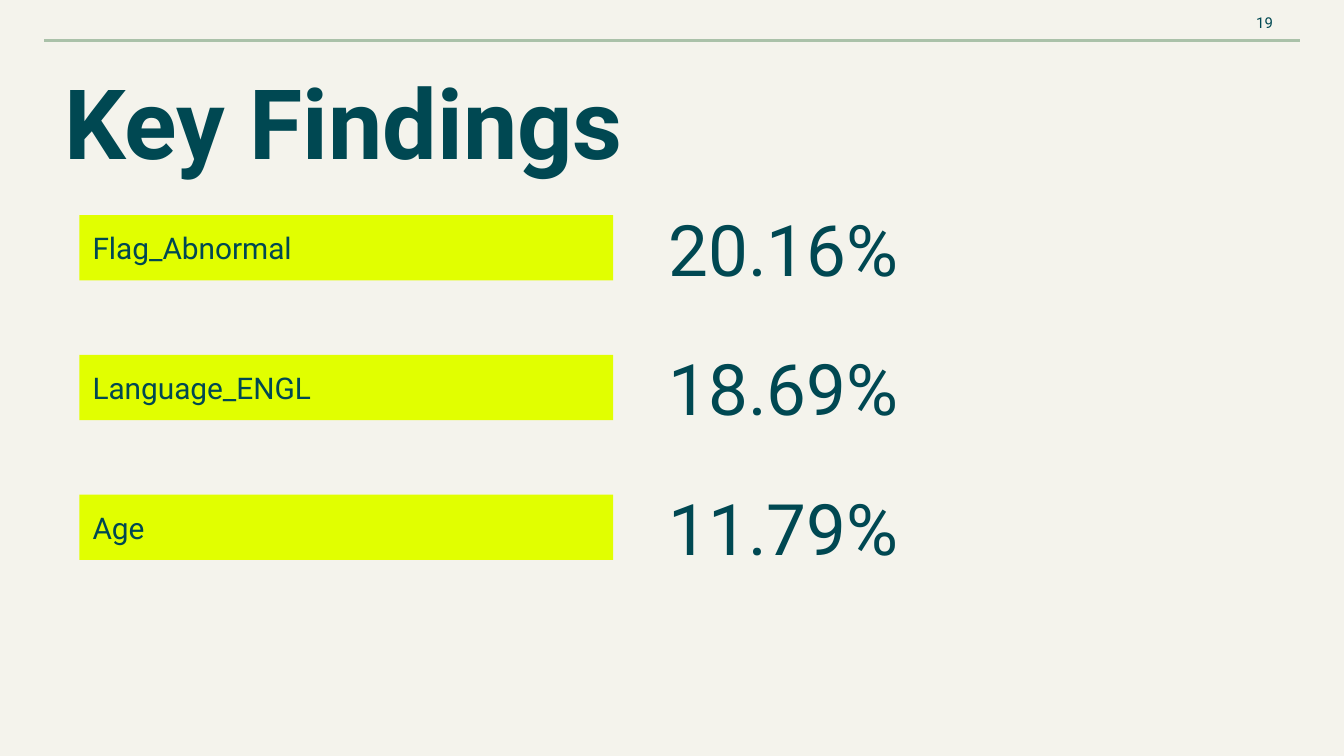
from dataclasses import dataclass

import pptx
import pptx.dml.color
import pptx.enum.shapes
import pptx.enum.text
import pptx.oxml.ns
import pptx.util
from lxml import etree
from pptx.shapes.autoshape import Shape
from pptx.slide import Slide

Pt = pptx.util.Pt
Align = pptx.enum.text.PP_ALIGN
RGBColor = pptx.dml.color.RGBColor

PAPER = RGBColor(0xF4, 0xF3, 0xEC)
SAGE = RGBColor(0xAA, 0xC1, 0xA9)
LIME = RGBColor(0xE1, 0xFF, 0x00)
TEAL = RGBColor(0x00, 0x48, 0x52)
FONT = "Roboto"

TOP = 115.2
STEP = 74.88
BAR_H = 35
RATE_H = 62.6


@dataclass(frozen=True)
class Finding:
    label: str
    rate: str


FINDINGS = [
    Finding("Flag_Abnormal", "20.16%"),
    Finding("Language_ENGL", "18.69%"),
    Finding("Age", "11.79%"),
]


def write(shape: Shape, text: str, *, size: float, bold: bool = False,
          align: Align = Align.LEFT) -> None:
    frame = shape.text_frame
    frame.word_wrap = True
    frame.auto_size = pptx.enum.text.MSO_AUTO_SIZE.NONE
    frame.vertical_anchor = pptx.enum.text.MSO_ANCHOR.MIDDLE
    frame.margin_left = frame.margin_right = Pt(7.2)
    frame.margin_top = frame.margin_bottom = Pt(7.2)
    para = frame.paragraphs[0]
    para.alignment = align
    para.line_spacing = 1.0
    run = para.add_run()
    run.text = text
    run.font.name = FONT
    run.font.size = Pt(size)
    run.font.bold = bold
    run.font.color.rgb = TEAL


def add_box(slide: Slide, x: float, y: float, w: float, h: float) -> Shape:
    return slide.shapes.add_textbox(Pt(x), Pt(y), Pt(w), Pt(h))


def add_rule(slide: Slide) -> None:
    """Draw the thin line across the top of the slide."""
    rule = slide.shapes.add_connector(
        pptx.enum.shapes.MSO_CONNECTOR.STRAIGHT,
        Pt(23.8), Pt(21.6), Pt(696.2), Pt(21.6))
    rule.line.color.rgb = SAGE
    rule.line.width = Pt(1.5)
    etree.SubElement(rule.element.spPr, pptx.oxml.ns.qn("a:effectLst"))


def add_finding(slide: Slide, item: Finding, y: float) -> None:
    """Draw a labelled bar with its rate centred beside it."""
    bar = slide.shapes.add_shape(
        pptx.enum.shapes.MSO_SHAPE.RECTANGLE,
        Pt(42.5), Pt(y), Pt(286), Pt(BAR_H))
    bar.shadow.inherit = False
    bar.fill.solid()
    bar.fill.fore_color.rgb = LIME
    bar.line.fill.background()
    write(bar, item.label, size=16)
    rate = add_box(slide, 346.3, y + (BAR_H - RATE_H) / 2, 147, RATE_H)
    write(rate, item.rate, size=38, align=Align.CENTER)


def main() -> None:
    deck = pptx.Presentation()
    deck.slide_width, deck.slide_height = Pt(720), Pt(405)
    slide = deck.slides.add_slide(deck.slide_layouts.get_by_name("Title Only"))
    slide.background.fill.solid()
    slide.background.fill.fore_color.rgb = PAPER

    add_rule(slide)
    write(add_box(slide, 621.4, 1.4, 67.7, 21.6), "19", size=8,
          align=Align.RIGHT)

    title = slide.shapes.title
    title.left, title.top = Pt(27.4), Pt(23)
    title.width, title.height = Pt(609), Pt(83.5)
    write(title, "Key Findings", size=52, bold=True)

    for row, item in enumerate(FINDINGS):
        add_finding(slide, item, TOP + row * STEP)
    deck.save("out.pptx")


if __name__ == "__main__":
    main()
